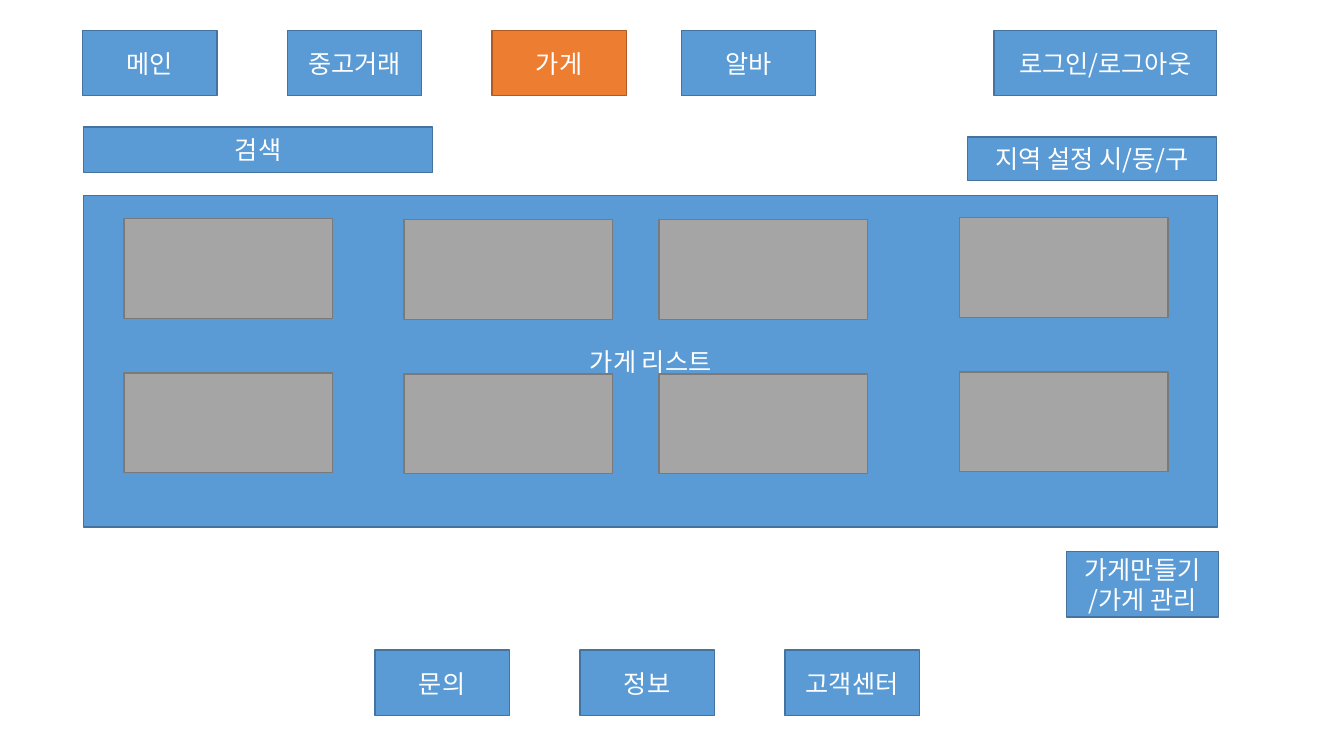
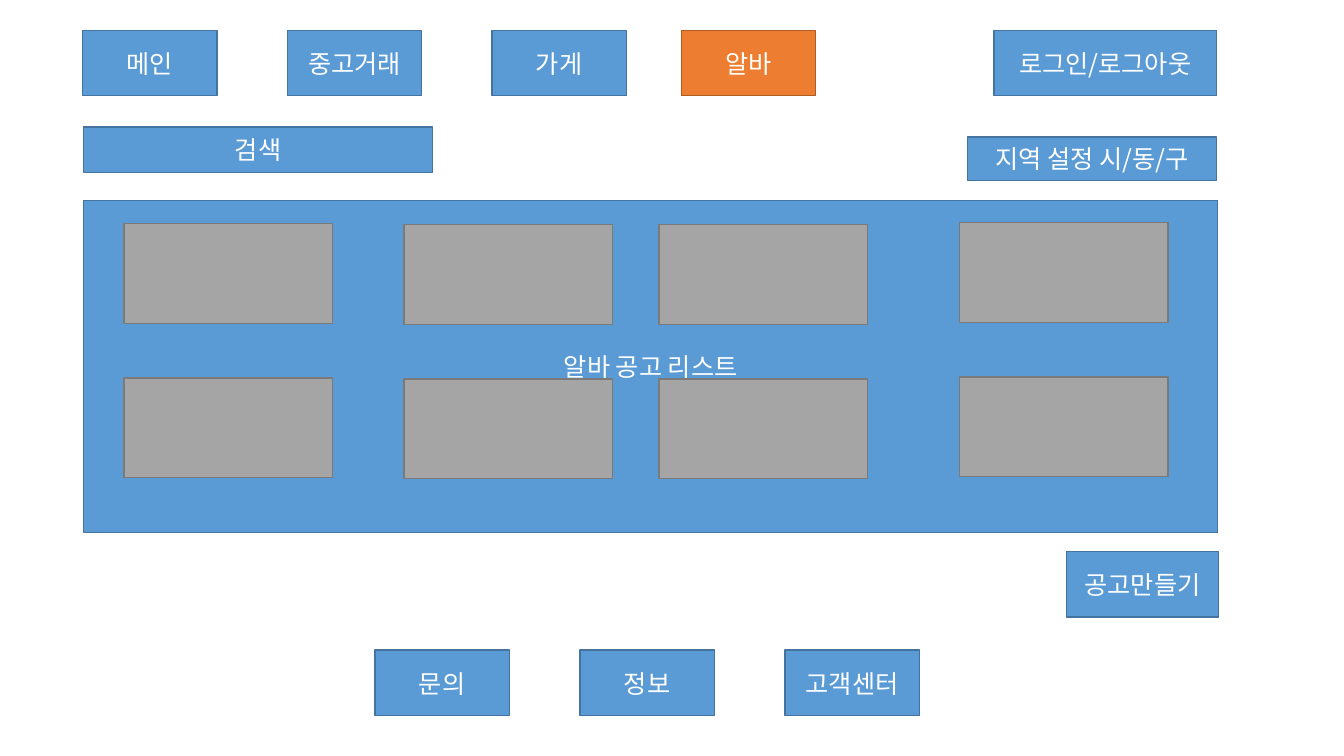
"""Build two wireframe slides for a neighbourhood market site."""
from lxml import etree
from pptx import Presentation
from pptx import util as u
from pptx.dml.color import RGBColor
from pptx.enum import shapes, text
from pptx.oxml import ns

BLUE, BLUE_EDGE = RGBColor(0x5B, 0x9B, 0xD5), RGBColor(0x43, 0x73, 0x9E)
ORANGE, ORANGE_EDGE = RGBColor(0xED, 0x7D, 0x31), RGBColor(0xAF, 0x5C, 0x24)
GRAY, GRAY_EDGE = RGBColor(0xA5, 0xA5, 0xA5), RGBColor(0x7A, 0x7A, 0x7A)
WHITE = RGBColor(0xFF, 0xFF, 0xFF)
FONT = "Noto Sans CJK KR"
COLUMNS, ROWS = 40, 30
BUTTON_W, BUTTON_H = 4, 2.6
LEFT = 2.49
NAV = (("메인", 2.46), ("중고거래", 8.55), ("가게", 14.64), ("알바", 20.28))
FOOTER = ("문의", "정보", "고객센터")
FOOTER_LEFT, FOOTER_PITCH = 11.16, 6.1
CARDS = ((3.69, 0.92), (12.03, 0.96), (19.62, 0.96), (28.56, 0.88))
CARD_W, CARD_H, CARD_PITCH = 6.21, 3.96, 6.12
PAGES = (
    ("가게", "가게 리스트", 7.76, "가게만들기\n/가게 관리"),
    ("알바", "알바 공고 리스트", 7.96, "공고만들기"),
)


def write(tf, content, size=18, color=WHITE, font=FONT, align=text.PP_ALIGN.CENTER):
    tf.word_wrap = True
    tf.vertical_anchor = text.MSO_ANCHOR.MIDDLE
    for i, line in enumerate(content.split("\n")):
        p = tf.add_paragraph() if i else tf.paragraphs[0]
        p.alignment = align
        r = p.add_run()
        r.text = line
        r.font.size = u.Pt(size)
        r.font.color.rgb = color
        r.font.name = font
        etree.SubElement(r.font._element, ns.qn("a:ea"), typeface=font)


class Wireframe:
    def __init__(self, prs):
        self.prs = prs
        self.s = None

    def new_slide(self):
        self.s = self.prs.slides.add_slide(self.prs.slide_layouts[6])

    def box(self, col, row, cols, rows, label="", fill=BLUE, edge=BLUE_EDGE):
        cw, rh = self.prs.slide_width / COLUMNS, self.prs.slide_height / ROWS
        sp = self.s.shapes.add_shape(
            shapes.MSO_SHAPE.RECTANGLE,
            round(col * cw), round(row * rh), round(cols * cw), round(rows * rh))
        sp.shadow.inherit = False
        sp.fill.solid()
        sp.fill.fore_color.rgb = fill
        sp.line.color.rgb = edge
        sp.line.width = u.Pt(1)
        if label:
            write(sp.text_frame, label)

    def button(self, col, row, label, cols=BUTTON_W, active=False):
        fill, edge = (ORANGE, ORANGE_EDGE) if active else (BLUE, BLUE_EDGE)
        self.box(col, row, cols, BUTTON_H, label, fill, edge)

    def header(self, current):
        for label, col in NAV:
            self.button(col, 1.2, label, active=label == current)
        self.button(29.58, 1.2, "로그인/로그아웃", cols=6.63)
        self.box(LEFT, 5.04, 10.38, 1.8, "검색")
        self.box(28.8, 5.44, 7.41, 1.72, "지역 설정 시/동/구")

    def listing(self, title, top):
        self.box(LEFT, top, 33.75, 13.16, title)
        for col, offset in CARDS:
            for i in range(2):
                self.box(col, top + offset + i * CARD_PITCH, CARD_W, CARD_H,
                         fill=GRAY, edge=GRAY_EDGE)

    def footer(self):
        for i, label in enumerate(FOOTER):
            self.button(FOOTER_LEFT + i * FOOTER_PITCH, 25.8, label)


def main():
    prs = Presentation()
    prs.slide_width, prs.slide_height = u.Inches(13.33), u.Inches(7.5)
    page = Wireframe(prs)
    for current, title, top, action in PAGES:
        page.new_slide()
        page.header(current)
        page.listing(title, top)
        page.button(31.74, 21.88, action, cols=4.53)
        page.footer()
    prs.save("out.pptx")


if __name__ == "__main__":
    main()
